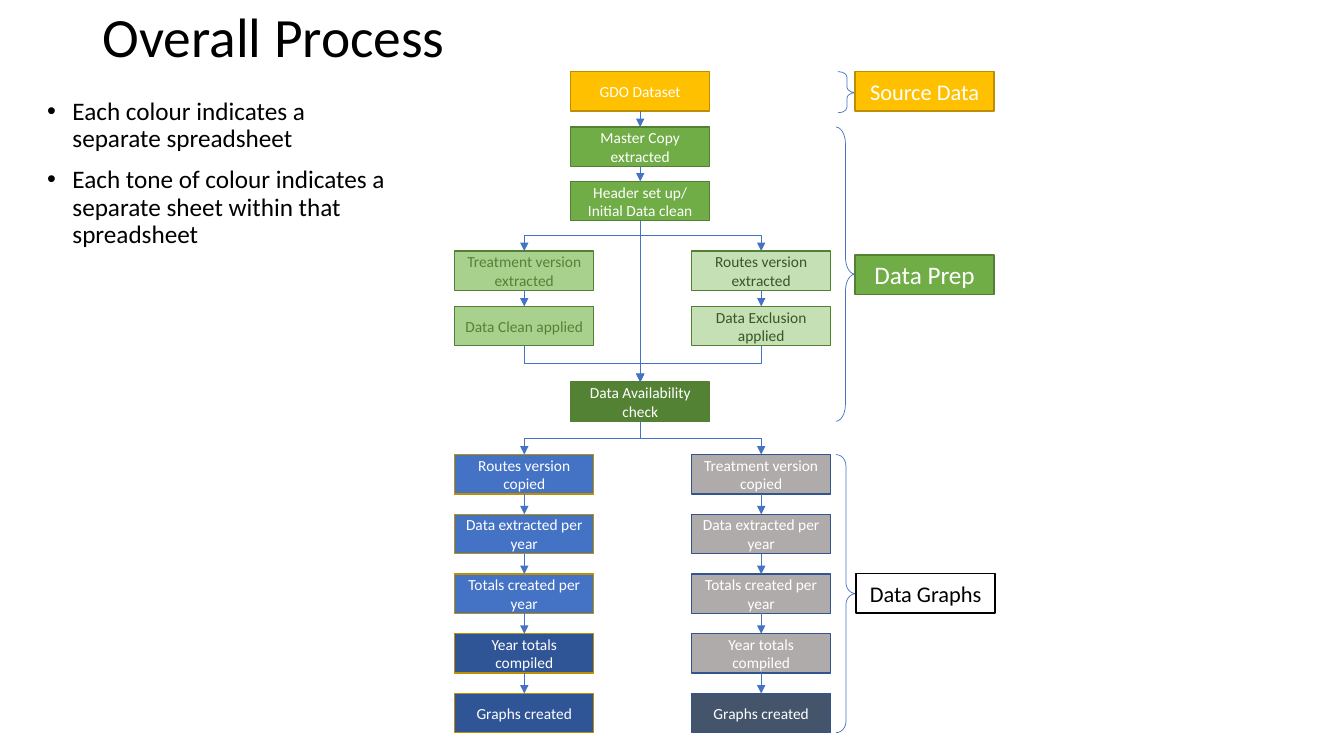
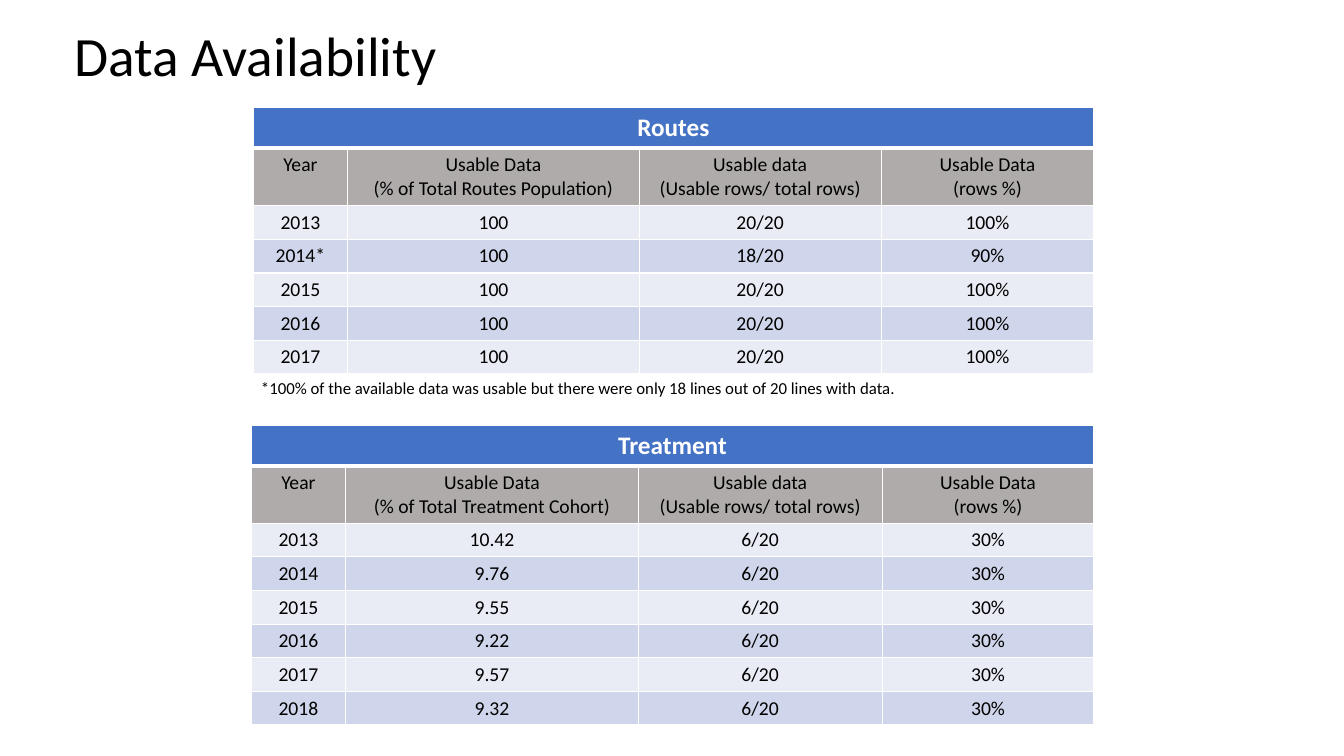
"""Build a two-slide deck: a data process flow and its data availability tables."""
from lxml import etree
from pptx import Presentation
from pptx.dml.color import RGBColor
from pptx.enum.shapes import MSO_CONNECTOR, MSO_SHAPE
from pptx.enum.text import MSO_ANCHOR, PP_ALIGN
from pptx.oxml.ns import qn
from pptx.util import Inches, Pt

RECT, BRACE = MSO_SHAPE.RECTANGLE, MSO_SHAPE.RIGHT_BRACE
STRAIGHT, ELBOW = MSO_CONNECTOR.STRAIGHT, MSO_CONNECTOR.ELBOW
LEFT, CENTER = PP_ALIGN.LEFT, PP_ALIGN.CENTER
TOP, MIDDLE = MSO_ANCHOR.TOP, MSO_ANCHOR.MIDDLE
FONT = "Calibri"
BOX_W, BOX_H = 1.38, 0.39
LEFT_X, MID_X, RIGHT_X, LABEL_X = 4.51, 5.66, 6.86, 8.48

COLORS = {
    "black": "000000", "white": "FFFFFF", "gold": "FFC000", "gold_line": "BD8E00",
    "green": "70AD47", "green_line": "538035", "green_mid": "A9D18E",
    "green_pale": "C5E0B4", "green_dark": "548235", "green_text": "385723",
    "blue": "4472C4", "blue_dark": "2F5597", "blue_line": "325491",
    "gray": "AFABAB", "slate": "44546A", "band_light": "E9EBF5", "band_dark": "CFD5EA",
}
BOX_STYLES = {
    "source": ("gold", "gold_line", "white"),
    "prep": ("green", "green_line", "white"),
    "prep_treatment": ("green_mid", "green_line", "green_dark"),
    "prep_routes": ("green_pale", "green_line", "green_text"),
    "check": ("green_dark", "green_line", "white"),
    "routes": ("blue", "gold_line", "white"),
    "routes_total": ("blue_dark", "gold_line", "white"),
    "treatment": ("gray", "blue_line", "white"),
    "treatment_total": ("slate", "blue_line", "white"),
    "graphs": ("white", "black", "black"),
}


def rgb(name):
    return RGBColor.from_string(COLORS[name])


class Deck:
    def __init__(self):
        self.prs = Presentation()
        self.prs.slide_width, self.prs.slide_height = Inches(13.33), Inches(7.5)
        self.s = None

    def slide(self, title, x, y):
        self.s = self.prs.slides.add_slide(self.prs.slide_layouts[6])
        self.text([title], x, y, 11.5, 0.4, 39.6, MIDDLE)[0].line_spacing = 0.9

    def add_lines(self, tf, lines, size, color="black", align=LEFT, bold=False):
        for i, line in enumerate(lines):
            p = tf.add_paragraph() if i else tf.paragraphs[0]
            p.alignment = align
            r = p.add_run()
            r.text = line
            r.font.name, r.font.size, r.font.bold = FONT, Pt(size), bold
            r.font.color.rgb = rgb(color)
        return tf.paragraphs

    def text(self, lines, x, y, w, h, size, anchor=TOP):
        tf = self.s.shapes.add_textbox(Inches(x), Inches(y), Inches(w), Inches(h)).text_frame
        tf.word_wrap, tf.vertical_anchor = True, anchor
        return self.add_lines(tf, lines, size)

    def bullets(self, lines, x, y, w, h, size):
        for p in self.text(lines, x, y, w, h, size):
            p.line_spacing, p.space_before = 0.9, Pt(10)
            pPr = p._p.get_or_add_pPr()
            pPr.set("marL", str(Inches(0.25)))
            pPr.set("indent", str(Inches(-0.25)))
            etree.SubElement(pPr, qn("a:buFont")).set("typeface", "Arial")
            etree.SubElement(pPr, qn("a:buChar")).set("char", "•")

    def shape(self, kind, x, y, w, h, line, width):
        sp = self.s.shapes.add_shape(kind, Inches(x), Inches(y), Inches(w), Inches(h))
        sp.shadow.inherit = False
        sp.line.color.rgb, sp.line.width = rgb(line), Pt(width)
        return sp

    def box(self, label, x, y, style, size=11):
        fill, line, color = BOX_STYLES[style]
        sp = self.shape(RECT, x, y, BOX_W, BOX_H, line, 1)
        sp.fill.solid()
        sp.fill.fore_color.rgb = rgb(fill)
        tf = sp.text_frame
        tf.word_wrap, tf.vertical_anchor = True, MIDDLE
        self.add_lines(tf, [label], size, color, CENTER)
        return sp

    def brace(self, x, y, w, h, curve, point):
        sp = self.shape(BRACE, x, y, w, h, "blue", 0.5)
        sp.fill.background()
        sp.adjustments[0], sp.adjustments[1] = curve, point

    def connector(self, kind, x1, y1, x2, y2):
        c = self.s.shapes.add_connector(kind, x1, y1, x2, y2)
        c.line.color.rgb, c.line.width = rgb("blue"), Pt(0.5)
        spPr = c.element.spPr
        etree.SubElement(spPr.find(qn("a:ln")), qn("a:tailEnd")).set("type", "triangle")
        etree.SubElement(spPr, qn("a:effectLst"))
        return c

    def arrow(self, start, end):
        c = self.connector(STRAIGHT, 0, 0, 0, 0)
        c.begin_connect(start, 2)
        c.end_connect(end, 0)

    def chain(self, boxes):
        for start, end in zip(boxes, boxes[1:]):
            self.arrow(start, end)

    def elbow(self, start, end):
        x1, y1 = start.left + start.width // 2, start.top + start.height
        x2, y2 = end.left + end.width // 2, end.top
        cx, cy = (x1 + x2) // 2, (y1 + y2) // 2
        half_w, half_h = (y2 - y1) // 2, abs(x2 - x1) // 2
        c = self.connector(ELBOW, cx - half_w, cy - half_h, cx + half_w, cy + half_h)
        xfrm = c.element.spPr.xfrm
        xfrm.set("rot", "5400000" if x2 < x1 else "16200000")
        if x2 > x1:
            xfrm.set("flipH", "1")

    def cell(self, cell, lines, fill, size=14, color="black", bold=False, top=1, bottom=1):
        tcPr = cell._tc.get_or_add_tcPr()
        for side, width in (("L", 1), ("R", 1), ("T", top), ("B", bottom)):
            ln = etree.SubElement(tcPr, qn(f"a:ln{side}"), w=str(Pt(width)))
            solid = etree.SubElement(ln, qn("a:solidFill"))
            etree.SubElement(solid, qn("a:srgbClr")).set("val", COLORS["white"])
        cell.fill.solid()
        cell.fill.fore_color.rgb = rgb(fill)
        self.add_lines(cell.text_frame, lines, size, color, CENTER, bold)

    def table(self, title, heads, rows, x, y, widths):
        heights = [0.4, 0.57] + [0.33] * len(rows)
        tbl = self.s.shapes.add_table(len(heights), len(widths), Inches(x), Inches(y),
                                      Inches(sum(widths)), Inches(sum(heights))).table
        tbl.first_row = tbl.horz_banding = False
        for col, width in zip(tbl.columns, widths):
            col.width = Inches(width)
        for row, height in zip(tbl.rows, heights):
            row.height = Inches(height)
        tbl.cell(0, 0).merge(tbl.cell(0, len(widths) - 1))
        for j, head in enumerate(heads):
            self.cell(tbl.cell(0, j), [] if j else [title], "blue", 18, "white", True, bottom=3)
            self.cell(tbl.cell(1, j), head, "gray", top=3)
        for i, row in enumerate(rows):
            for j, value in enumerate(row):
                self.cell(tbl.cell(i + 2, j), [value], "band_dark" if i % 2 else "band_light")


def process_slide(d):
    d.slide("Overall Process", 0.92, 0.19)
    d.bullets(["Each colour indicates a separate spreadsheet",
               "Each tone of colour indicates a separate sheet within that spreadsheet"],
              0.37, 0.93, 3.63, 2.11, 18)

    dataset = d.box("GDO Dataset", MID_X, 0.71, "source")
    master = d.box("Master Copy extracted", MID_X, 1.26, "prep")
    header = d.box("Header set up/ Initial Data clean", MID_X, 1.8, "prep")
    check = d.box("Data Availability check", MID_X, 3.79, "check")
    d.chain([dataset, master, header, check])

    prep_columns = [
        (LEFT_X, "prep_treatment", "Treatment version extracted", "Data Clean applied"),
        (RIGHT_X, "prep_routes", "Routes version extracted", "Data Exclusion applied"),
    ]
    for x, style, extract_label, apply_label in prep_columns:
        extracted = d.box(extract_label, x, 2.49, style)
        applied = d.box(apply_label, x, 3.04, style)
        d.elbow(header, extracted)
        d.arrow(extracted, applied)
        d.elbow(applied, check)

    steps = ["Data extracted per year", "Totals created per year",
             "Year totals compiled", "Graphs created"]
    graph_columns = [
        (LEFT_X, "Routes version copied", ["routes"] * 3 + ["routes_total"] * 2),
        (RIGHT_X, "Treatment version copied", ["treatment"] * 4 + ["treatment_total"]),
    ]
    pitch = (6.88 - 4.51) / len(steps)
    for x, first, styles in graph_columns:
        boxes = [d.box(label, x, 4.51 + i * pitch, style)
                 for i, (label, style) in enumerate(zip([first] + steps, styles))]
        d.elbow(check, boxes[0])
        d.chain(boxes)

    d.brace(8.31, 0.71, 0.18, 0.41, 0.3, 0.51)
    d.brace(8.29, 1.26, 0.19, 2.92, 0.88, 0.5)
    d.brace(8.29, 4.51, 0.2, 2.76, 0.55, 0.5)
    d.box("Source Data", LABEL_X, 0.71, "source", 16)
    d.box("Data Prep", LABEL_X, 2.53, "prep", 18)
    d.box("Data Graphs", LABEL_X + 0.01, 5.69, "graphs", 16)


def availability_slide(d):
    d.slide("Data Availability", 0.64, 0.38)

    def heads(population):
        return [["Year"], ["Usable Data", f"(% of Total {population})"],
                ["Usable data", "(Usable rows/ total rows)"], ["Usable Data", "(rows %)"]]

    routes = [(year, "100", "20/20", "100%") for year in ("2013", "2014*", "2015", "2016", "2017")]
    routes[1] = ("2014*", "100", "18/20", "90%")
    shares = ["10.42", "9.76", "9.55", "9.22", "9.57", "9.32"]
    treatment = [(str(year), share, "6/20", "30%") for year, share in enumerate(shares, 2013)]

    d.table("Routes", heads("Routes Population"), routes, 2.51, 1.07, [0.94, 2.89, 2.4, 2.11])
    d.table("Treatment", heads("Treatment Cohort"), treatment, 2.49, 4.22, [0.94, 2.9, 2.42, 2.1])
    d.text(["*100% of the available data was usable but there were only 18 lines "
            "out of 20 lines with data."], 2.49, 3.7, 8.34, 0.3, 12)


def main():
    d = Deck()
    process_slide(d)
    availability_slide(d)
    d.prs.save("out.pptx")


if __name__ == "__main__":
    main()
